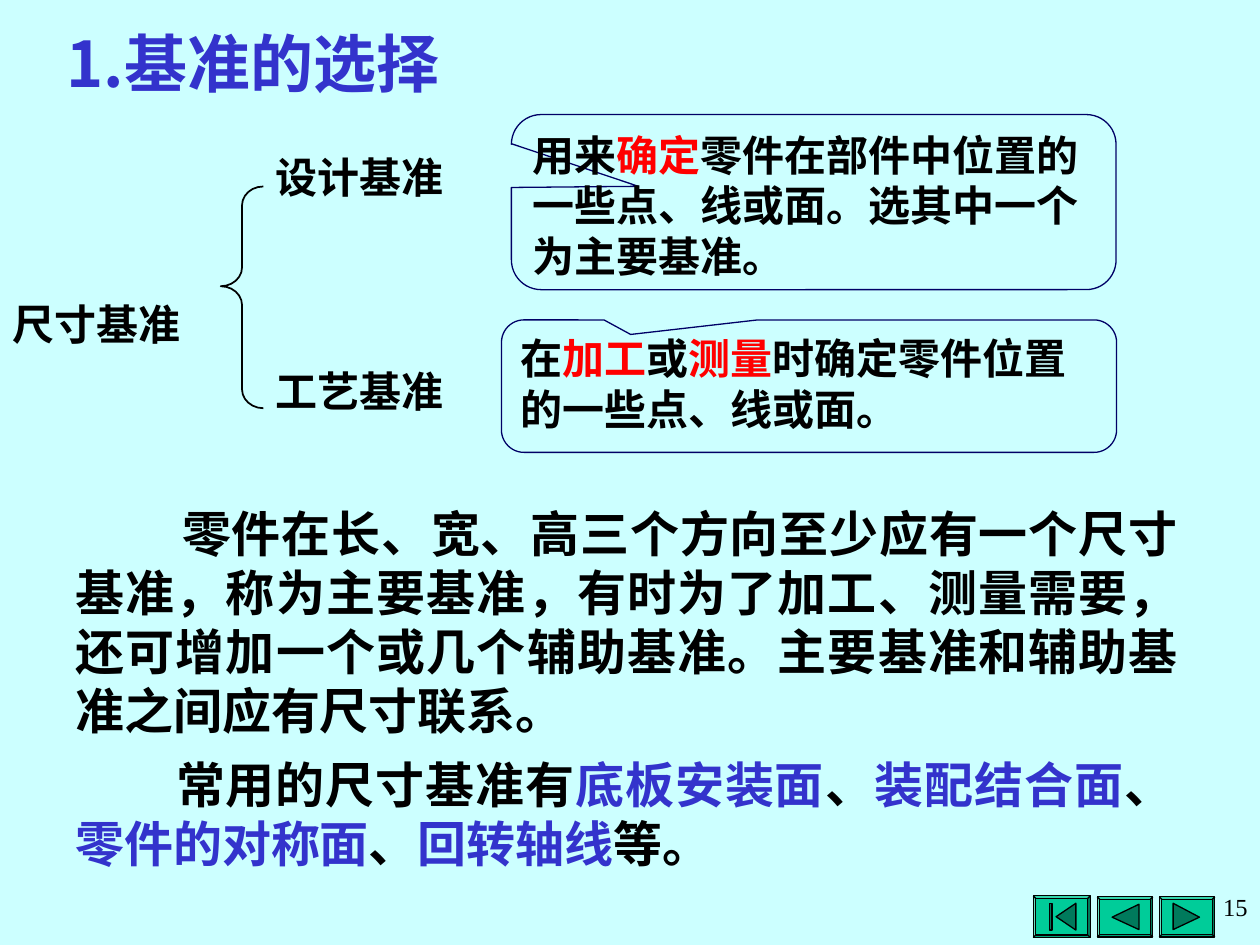
from pptx import Presentation, util as u
from pptx.dml.color import RGBColor
from pptx.enum import shapes as sh, text as tx
from pptx.oxml.ns import qn
from lxml import etree

Cm = u.Cm
BLACK, RED, BLUE, NAVY = "000000", "FF0000", "3333CC", "000066"
PALE, GREEN, DARK = "CCFFFF", "00CC99", "007A5C"
SERIF, SANS = "Times New Roman", "Noto Sans CJK SC"
rgb = RGBColor.from_string


def paint(shape, fill, line, width):
    shape.shadow.inherit = False
    if fill:
        shape.fill.solid()
        shape.fill.fore_color.rgb = rgb(fill)
    else:
        shape.fill.background()
    shape.line.color.rgb = rgb(line)
    shape.line.width = u.Pt(width)


def write(shape, runs, size, bold=True, align=tx.PP_ALIGN.LEFT):
    frame = shape.text_frame
    frame.word_wrap = True
    frame.vertical_anchor = tx.MSO_ANCHOR.TOP
    para = frame.paragraphs[0]
    para.alignment = align
    for words, color, face in runs:
        run = para.add_run()
        run.text = words
        run.font.size = u.Pt(size)
        run.font.bold = bold
        run.font.name = face
        run.font.color.rgb = rgb(color)
        east = etree.SubElement(run._r.get_or_add_rPr(), qn("a:ea"))
        east.set("typeface", SANS)
    return para


deck = Presentation()
deck.slide_width, deck.slide_height = Cm(25.4), Cm(19.05)
slide = deck.slides.add_slide(deck.slide_layouts[6])
slide.background.fill.solid()
slide.background.fill.fore_color.rgb = rgb(PALE)
items = slide.shapes

# Navigation buttons: place, size, then icon outlines
buttons = [
    (23.37, 18.08, 1.12, 0.81, [[(0.28, 0.13), (0.81, 0.41), (0.28, 0.66)]]),
    (22.12, 18.08, 1.12, 0.81, [[(0.3, 0.41), (0.84, 0.15), (0.84, 0.66)]]),
    (20.83, 18.06, 1.15, 0.84, [[(0.46, 0.42), (0.86, 0.15), (0.86, 0.69)],
                                [(0.33, 0.15), (0.38, 0.15), (0.38, 0.69), (0.33, 0.69)]]),
]
for x, y, w, h, icons in buttons:
    frame = items.add_shape(sh.MSO_SHAPE.BEVEL, Cm(x), Cm(y), Cm(w), Cm(h))
    frame.adjustments[0] = 0.06
    paint(frame, GREEN, BLACK, 0.75)
    for icon in icons:
        dots = [(Cm(x + dx), Cm(y + dy)) for dx, dy in icon]
        pen = items.build_freeform(*dots[0])
        pen.add_line_segments(dots[1:])
        paint(pen.convert_to_shape(), DARK, BLACK, 0.75)

# Datum tree: labels and brace
for words, x, y, w in [("尺寸基准", 0, 5.89, 5.33),
                       ("设计基准", 5.31, 2.92, 5.92),
                       ("工艺基准", 5.31, 7.24, 5.92)]:
    label = items.add_textbox(Cm(x), Cm(y), Cm(w), Cm(1.27))
    write(label, [(words, BLACK, SERIF)], 24)

brace = items.add_shape(sh.MSO_SHAPE.LEFT_BRACE, Cm(4.45), Cm(3.76), Cm(0.86), Cm(4.47))
brace.adjustments[0], brace.adjustments[1] = 0.44, 0.45
paint(brace, None, BLACK, 1)

# Callouts that explain each datum
notes = [
    ((10.31, 2.31, 12.19, 3.53), (-0.29, -0.09, 0.17),
     [("用来", BLACK), ("确定", RED),
      ("零件在部件中位置的一些点、线或面。选其中一个为主要基准。", BLACK)]),
    ((10.11, 6.45, 12.4, 2.67), (-0.29, -0.39, 0.17),
     [("在", BLACK), ("加工", RED), ("或", BLACK), ("测量", RED),
      ("时确定零件位置的一些点、线或面。", BLACK)]),
]
for box, shape, parts in notes:
    note = items.add_shape(sh.MSO_SHAPE.ROUNDED_RECTANGULAR_CALLOUT, *map(Cm, box))
    for i, value in enumerate(shape):
        note.adjustments[i] = value
    paint(note, PALE, NAVY, 0.75)
    write(note, [(words, color, SERIF) for words, color in parts], 24)

# Title
title = items.add_textbox(Cm(1.09), Cm(0.36), Cm(13), Cm(1.78))
write(title, [("1.", BLUE, SANS), ("基准的选择", BLUE, SERIF)], 36)

# Body paragraphs with a first-line indent
bodies = [
    ((0.3, 10.03, 23.7, 5), 2.15,
     [("零件在长、宽、高三个方向至少应有一个尺寸基准，称为主要基准，有时为了加工、"
       "测量需要，还可增加一个或几个辅助基准。主要基准和辅助基准之间应有尺寸联系。", BLACK)]),
    ((0.3, 15.09, 23.6, 2.64), 2.03,
     [("常用的尺寸基准有", BLACK), ("底板安装面", BLUE), ("、", BLACK),
      ("装配结合面", BLUE), ("、", BLACK), ("零件的对称面", BLUE), ("、", BLACK),
      ("回转轴线", BLUE), ("等。", BLACK)]),
]
for box, indent, parts in bodies:
    body = items.add_textbox(*map(Cm, box))
    para = write(body, [(words, color, SERIF) for words, color in parts], 28,
                 align=tx.PP_ALIGN.JUSTIFY)
    props = para._p.get_or_add_pPr()
    props.set("marL", str(Cm(0.97)))
    props.set("indent", str(Cm(indent)))

# Page number
page = items.add_textbox(Cm(19), Cm(17.86), Cm(6.4), Cm(1.55))
write(page, [("15", BLACK, SERIF)], 14, False, tx.PP_ALIGN.RIGHT)

deck.save("out.pptx")
